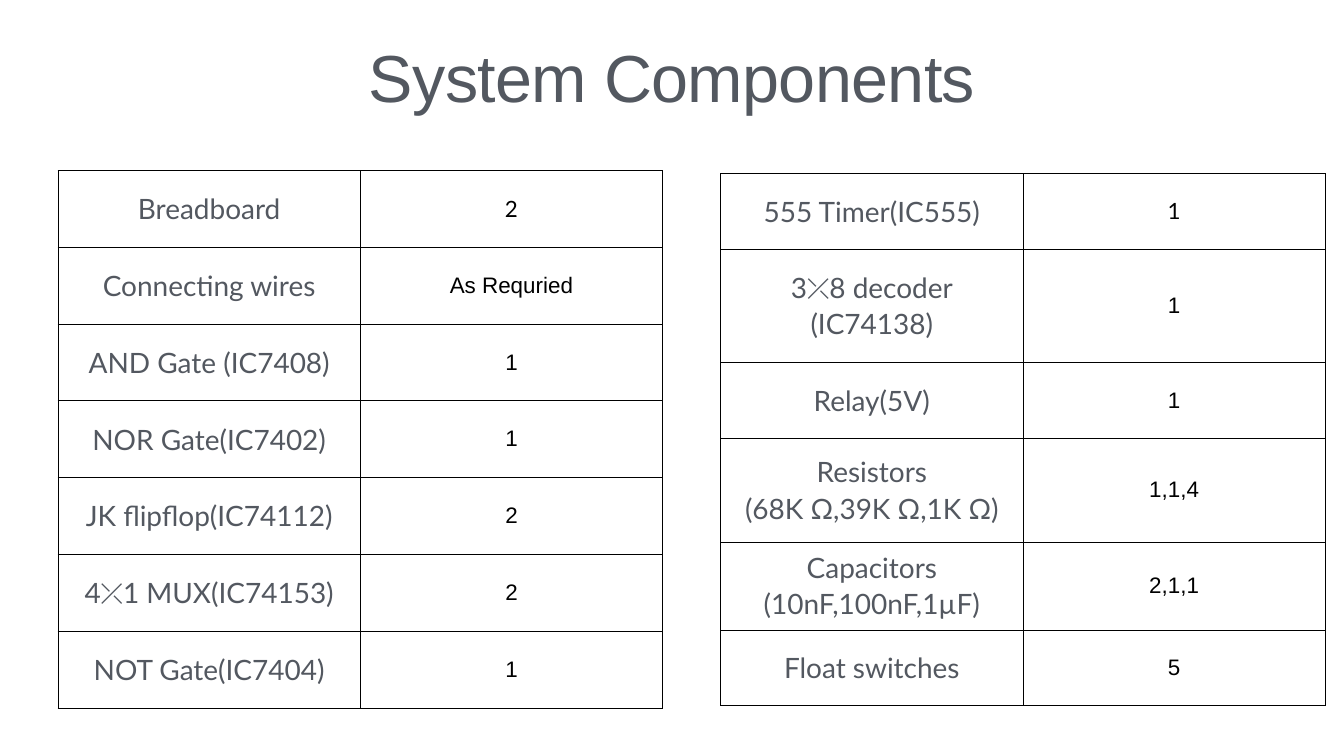
from lxml.etree import SubElement
from pptx import Presentation
from pptx.dml.color import RGBColor
from pptx.enum.text import MSO_ANCHOR, MSO_AUTO_SIZE, PP_ALIGN
from pptx.oxml.ns import qn
from pptx.util import Inches, Pt

SLATE = RGBColor(0x53, 0x58, 0x60)
BLACK = RGBColor(0x00, 0x00, 0x00)
WHITE = RGBColor(0xFF, 0xFF, 0xFF)

WIDTH, HEIGHT = Inches(26.67), Inches(15)
INSETS = {side: Inches(0.06) for side in
          ("margin_left", "margin_top", "margin_right", "margin_bottom")}
TITLE_FONT = {"name": "Arial", "size": Pt(95), "bold": False}
PART_FONT = {"name": "Lato", "size": Pt(40), "bold": False}
QUANTITY_FONT = {"name": "Arial", "size": Pt(32), "bold": False}
FIRST_QUANTITY_FONT = {**QUANTITY_FONT, "name": "Lato"}

LOGIC_PARTS = [
    ("Breadboard", "2", 1.52),
    ("Connecting wires", "As Requried", 1.52),
    ("AND Gate (IC7408)", "1", 1.52),
    ("NOR Gate(IC7402)", "1", 1.52),
    ("JK flipflop(IC74112)", "2", 1.52),
    ("4⤫1 MUX(IC74153)", "2", 1.52),
    ("NOT Gate(IC7404)", "1", 1.52),
]
CONTROL_PARTS = [
    ("555 Timer(IC555)", "1", 1.5),
    ("3⤫8 decoder\n(IC74138)", "1", 2.25),
    ("Relay(5V)", "1", 1.5),
    ("Resistors\n(68K Ω,39K Ω,1K Ω)", "1,1,4", 2.05),
    ("Capacitors\n(10nF,100nF,1µF)", "2,1,1", 1.74),
    ("Float switches", "5", 1.5),
]


def apply(target, values):
    for attribute, value in values.items():
        setattr(target, attribute, value)


def outline_cell(cell):
    properties = cell._tc.get_or_add_tcPr()
    for side in ("lnL", "lnR", "lnT", "lnB"):
        line = SubElement(properties, qn(f"a:{side}"), w=str(Pt(1)))
        solid = SubElement(line, qn("a:solidFill"))
        SubElement(solid, qn("a:srgbClr"), val=str(BLACK))


def write_cell(cell, text, font, color):
    outline_cell(cell)
    cell.fill.solid()
    cell.fill.fore_color.rgb = WHITE
    apply(cell, {**INSETS, "vertical_anchor": MSO_ANCHOR.MIDDLE, "text": text})
    for index, paragraph in enumerate(cell.text_frame.paragraphs):
        paragraph.alignment = PP_ALIGN.CENTER
        paragraph.space_before = Pt(4 if index else 47)
        for run in paragraph.runs:
            apply(run.font, font)
            run.font.color.rgb = color


def add_parts_table(slide, parts, left, top, width, height):
    table = slide.shapes.add_table(len(parts), 2, left, top, width, height).table
    apply(table, {"first_row": False, "horz_banding": False})
    for column in table.columns:
        column.width = width // 2
    total = sum(share for _, _, share in parts)
    for index, (part, quantity, share) in enumerate(parts):
        table.rows[index].height = int(height * share / total)
        write_cell(table.cell(index, 0), part, PART_FONT, SLATE)
        quantity_font = QUANTITY_FONT if index else FIRST_QUANTITY_FONT
        write_cell(table.cell(index, 1), quantity, quantity_font, BLACK)


def place_title(slide, text, left, top, width, height):
    title = slide.shapes.title
    apply(title, {"left": left, "top": top, "width": width, "height": height})
    frame = title.text_frame
    apply(frame, {**INSETS, "text": text, "word_wrap": True,
                  "auto_size": MSO_AUTO_SIZE.NONE,
                  "vertical_anchor": MSO_ANCHOR.MIDDLE})
    paragraph = frame.paragraphs[0]
    apply(paragraph, {"alignment": PP_ALIGN.CENTER, "line_spacing": 0.9})
    run = paragraph.runs[0]
    apply(run.font, TITLE_FONT)
    run.font.color.rgb = SLATE
    run._r.get_or_add_rPr().set("spc", "-100")


def main():
    deck = Presentation()
    apply(deck, {"slide_width": WIDTH, "slide_height": HEIGHT})
    slide = deck.slides.add_slide(deck.slide_layouts[5])
    for placeholder in list(slide.placeholders):
        if placeholder.placeholder_format.idx:
            placeholder.element.getparent().remove(placeholder.element)
    table_width = Inches(12)
    add_parts_table(slide, CONTROL_PARTS, Inches(14.3), Inches(3.44),
                    table_width, Inches(10.56))
    add_parts_table(slide, LOGIC_PARTS, Inches(1.15), Inches(3.38),
                    table_width, Inches(10.67))
    place_title(slide, "System Components", Inches(1.32), Inches(0.69),
                Inches(24.03), Inches(1.85))
    deck.save("out.pptx")


if __name__ == "__main__":
    main()
